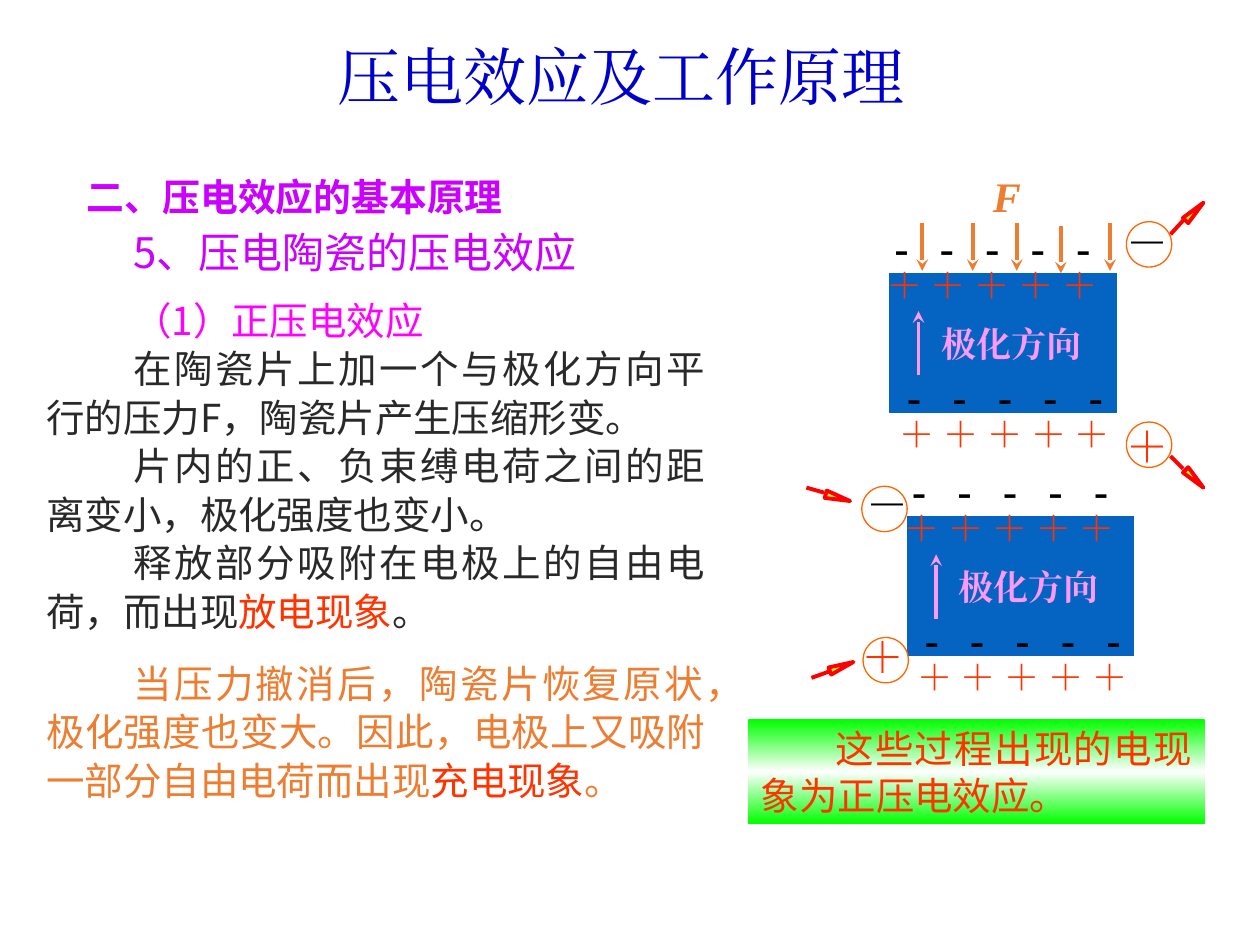
import pptx
import pptx.util
import pptx.dml.color
import pptx.enum.dml
import pptx.enum.lang
import pptx.enum.shapes
import pptx.enum.text
import pptx.oxml
import pptx.oxml.ns

Inches, Pt = pptx.util.Inches, pptx.util.Pt
SHAPE = pptx.enum.shapes.MSO_SHAPE
ALIGN = pptx.enum.text.PP_ALIGN
SANS, SERIF = "Noto Sans CJK SC", "Times New Roman"
C = {"title": "0000CC", "purple": "CC00FF", "magenta": "FF00FF", "body": "292929",
     "red": "FF3300", "orange": "ED7D31", "black": "000000", "pink": "FF99FF",
     "block": "0563C1", "white": "FFFFFF", "ring": "FF6600", "lead": "FF0000",
     "yellow": "FFFF00", "green": "00FF00"}

# Content: paragraphs are lists of (text, colour) runs
TITLE = [[("压电效应及工作原理 ", "title")]]
SECTION = [[("二、压电效应的基本原理", "purple")]]
TOPIC = [[("5、压电陶瓷的压电效应", "purple")]]
DIRECT = [
    [("（1）正压电效应", "magenta")],
    [("在陶瓷片上加一个与极化方向平行的压力F，陶瓷片产生压缩形变。", "body")],
    [("片内的正、负束缚电荷之间的距离变小，极化强度也变小。", "body")],
    [("释放部分吸附在电极上的自由电荷，而出现", "body"), ("放电现象", "red"), ("。", "body")],
]
RELEASE = [[("当压力撤消后，陶瓷片恢复原状，极化强度也变大。因此，电极上又吸附一部分自由电荷而出现", "orange"),
            ("充电现象", "red"), ("。", "orange")]]
SUMMARY = [[("这些过程出现的电现象为正压电效应。 ", "red")]]
MINUSES = "-   -   -   -   -"
PLUSES = " ".join("＋" * 5)

# Ceramic block: origins, then labels as text, dx, dy, width, height, size, colour
BLOCKS = [(7.04, 2.15), (7.18, 4.08)]
BLOCK_LABELS = [
    (MINUSES, 0.06, -0.39, 2.06, 0.48, 24, "black"),
    (PLUSES, 0, -0.06, 1.93, 0.4, 20, "red"),
    (MINUSES, 0.16, 0.79, 2.06, 0.48, 24, "black"),
    (PLUSES, 0.1, 1.12, 1.93, 0.4, 20, "red"),
    ("极化方向", 0.43, 0.41, 1.15, 0.4, 20, "pink"),
]
FORCE_ARROWS = [(7.32, 1.77), (7.72, 1.77), (8.07, 1.77), (8.42, 1.79), (8.81, 1.77)]

# Electrodes: ring, sign with its box and rotation, lead line, arrow tip with its rotation
ELECTRODES = [
    ((8.94, 1.76), "－", (8.94, 1.72, 0.43, 0.43), 0, (9.29, 1.86, 9.39, 1.75), (9.45, 1.58), 45),
    ((8.94, 3.35), "＋", (8.94, 3.34, 0.38, 0.38), 0, (9.29, 3.62, 9.39, 3.72), (9.45, 3.7), 135),
    ((6.84, 3.86), "－", (6.78, 3.79, 0.43, 0.43), 180, (6.4, 3.87, 6.54, 3.91), (6.62, 3.85), 105.6),
    ((6.85, 5.06), "＋", (6.85, 5.05, 0.37, 0.37), 90, (6.44, 5.38, 6.58, 5.33), (6.65, 5.19), 69.1),
]


def rgb(name):
    return pptx.dml.color.RGBColor.from_string(C[name])


def write(sp, paragraphs, size, font=SANS, align=ALIGN.JUSTIFY, indent=0, spacing=1.0,
          bold=False, italic=False):
    tf = sp.text_frame
    tf.word_wrap = True
    for i, runs in enumerate(paragraphs):
        p = tf.paragraphs[0] if i == 0 else tf.add_paragraph()
        p.alignment, p.line_spacing = align, spacing
        p.space_before = Pt(0)
        if indent:
            pPr = p._p.get_or_add_pPr()
            pPr.set("marL", "0")
            pPr.set("indent", str(Inches(indent)))
        for text, colour in runs:
            r = p.add_run()
            r.text = text
            f = r.font
            f.size, f.name, f.bold, f.italic = Pt(size), font, bold, italic
            f.language_id = pptx.enum.lang.MSO_LANGUAGE_ID.SIMPLIFIED_CHINESE
            f.color.rgb = rgb(colour)
            ea = pptx.oxml.parse_xml(f'<a:ea {pptx.oxml.ns.nsdecls("a")} typeface="{font}"/>')
            r._r.rPr.find(pptx.oxml.ns.qn("a:latin")).addnext(ea)


def text_box(s, box, paragraphs, size, **style):
    sp = s.shapes.add_textbox(*map(Inches, box))
    write(sp, paragraphs, size, **style)
    return sp


def label(s, text, box, size, colour, rotation=0, italic=False):
    sp = text_box(s, box, [[(text, colour)]], size, font=SERIF, align=ALIGN.LEFT,
                  bold=True, italic=italic)
    tf = sp.text_frame
    tf.margin_left = tf.margin_right = tf.margin_top = tf.margin_bottom = 0
    sp.rotation = rotation


def shape(s, kind, box, fill=None, line=None, width=2.25, rotation=0):
    sp = s.shapes.add_shape(kind, *map(Inches, box))
    sp.shadow.inherit = False
    sp.rotation = rotation
    if fill:
        sp.fill.solid()
        sp.fill.fore_color.rgb = rgb(fill)
    else:
        sp.fill.background()
    if line:
        sp.line.color.rgb = rgb(line)
        sp.line.width = Pt(width)
    else:
        sp.line.fill.background()
    return sp


def line(s, ends, colour, arrow=False):
    c = s.shapes.add_connector(pptx.enum.shapes.MSO_CONNECTOR.STRAIGHT, *map(Inches, ends))
    c.line.color.rgb = rgb(colour)
    c.line.width = Pt(2.25)
    ns = pptx.oxml.ns.nsdecls("a")
    if arrow:
        c.line._get_or_add_ln().append(pptx.oxml.parse_xml(f'<a:tailEnd {ns} type="stealth"/>'))
    c._element.spPr.append(pptx.oxml.parse_xml(f"<a:effectLst {ns}/>"))


def block(s, x, y):
    shape(s, SHAPE.RECTANGLE, (x, y, 1.84, 1.14), "block", "white")
    for text, dx, dy, w, h, size, colour in BLOCK_LABELS:
        label(s, text, (x + dx, y + dy, w, h), size, colour)
    line(s, (x + 0.25, y + 0.83, x + 0.25, y + 0.32), "pink", arrow=True)


def electrode(s, ring, sign, sign_box, sign_turn, lead, tip, tip_turn):
    shape(s, SHAPE.ISOSCELES_TRIANGLE, (*tip, 0.06, 0.2), "yellow", "lead", rotation=tip_turn)
    line(s, lead, "lead")
    shape(s, SHAPE.OVAL, (*ring, 0.36, 0.36), line="ring", width=0.75)
    label(s, sign, sign_box, 24, "black" if sign == "－" else "red", sign_turn)


def main():
    prs = pptx.Presentation()
    prs.slide_width, prs.slide_height = Inches(10), Inches(7.5)
    s = prs.slides.add_slide(prs.slide_layouts[5])

    # Section heading in the title placeholder
    sp = s.shapes.title
    sp.left, sp.top, sp.width, sp.height = map(Inches, (0.59, 1.39, 8.98, 0.39))
    sp.text_frame.vertical_anchor = pptx.enum.text.MSO_ANCHOR.MIDDLE
    sp.text_frame.auto_size = pptx.enum.text.MSO_AUTO_SIZE.NONE
    write(sp, SECTION, 21.6, align=ALIGN.LEFT, spacing=0.85, bold=True)

    # Running text
    text_box(s, (0.98, 0.25, 8.03, 0.7), TITLE, 36, font=SERIF, align=ALIGN.CENTER)
    text_box(s, (0.27, 1.69, 5.75, 0.56), TOPIC, 24, indent=0.69, spacing=1.15)
    text_box(s, (0.27, 2.29, 5.43, 2.8), DIRECT, 22, indent=0.69, spacing=1.05)
    text_box(s, (0.27, 5.17, 5.43, 1.26), RELEASE, 22, indent=0.69, spacing=1.05)

    # Summary on a green-white-green band
    sp = shape(s, SHAPE.RECTANGLE, (5.94, 5.71, 3.62, 0.83))
    sp.fill.gradient()
    sp.fill.gradient_angle = 270
    stops = sp.fill._fill._gradFill.gsLst
    for stop in list(stops):
        stops.remove(stop)
    for pos, name in ((0, "green"), (50, "white"), (100, "green")):
        stops.append(pptx.oxml.parse_xml(
            f'<a:gs {pptx.oxml.ns.nsdecls("a")} pos="{pos * 1000}"><a:srgbClr val="{C[name]}"/></a:gs>'))
    write(sp, SUMMARY, 22, indent=0.59)

    # Diagram: blocks, force and electrodes
    for x, y in BLOCKS:
        block(s, x, y)
    label(s, "F", (7.88, 1.35, 0.43, 0.45), 24, "orange", italic=True)
    for x, y in FORCE_ARROWS:
        line(s, (x, y, x, y + 0.38), "orange", arrow=True)
    for parts in ELECTRODES:
        electrode(s, *parts)

    prs.save("out.pptx")


if __name__ == "__main__":
    main()
